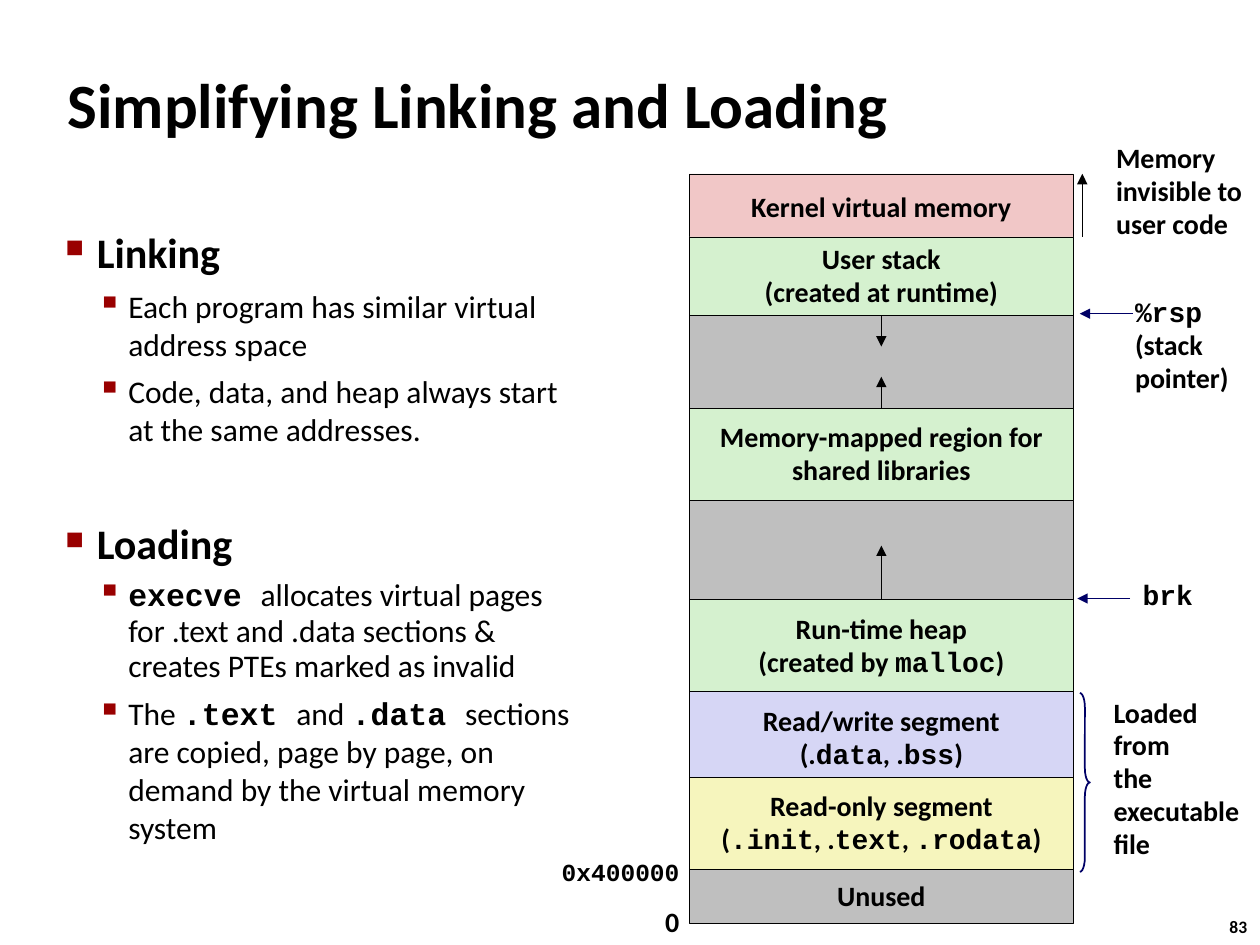
from lxml.etree import SubElement
from pptx import Presentation
from pptx.dml.color import RGBColor
from pptx.enum.shapes import MSO_CONNECTOR as Connector, MSO_SHAPE as Shape
from pptx.enum.text import MSO_ANCHOR as Anchor, PP_ALIGN as Align
from pptx.oxml.ns import qn
from pptx.util import Inches, Pt

color = RGBColor.from_string
BLACK, NAVY, RED = "000000", "000066", "990000"
GREEN, GRAY = "D5F1CF", "BFBFBF"

deck = Presentation()
deck.slide_width, deck.slide_height = Inches(10), Inches(7.5)
COL, ROW = deck.slide_width / 100, deck.slide_height / 75
slide = deck.slides.add_slide(deck.slide_layouts[6])
shapes = slide.shapes


def write(paragraph, text, size, bold=True, spacing=None):
    parts = text.split("`")
    all_code = len(parts) == 3 and not parts[0] and not parts[2]
    paragraph.line_spacing = spacing
    font = paragraph.font
    font.size, font.bold = Pt(size), bold
    font.name = "Courier New" if all_code else "Calibri"
    font.color.rgb = color(BLACK)
    for index, part in enumerate(parts):
        if part:
            run = paragraph.add_run()
            run.text = part
            if index % 2 and not all_code:
                run.font.name, run.font.bold = "Courier New", True


def arrow(x1, y1, x2, y2, stroke):
    line = shapes.add_connector(
        Connector.STRAIGHT, int(x1 * COL), int(y1 * ROW), int(x2 * COL), int(y2 * ROW))
    line.line.color.rgb = color(stroke)
    line.line.width = Pt(0.25)
    properties = line._element.spPr
    SubElement(properties.find(qn("a:ln")), qn("a:tailEnd"), type="triangle")
    SubElement(properties, qn("a:effectLst"))
    return line


title = shapes.add_textbox(int(4.4 * COL), int(3.9 * ROW), int(90.6 * COL), int(8.6 * ROW)).text_frame
title.word_wrap = True
title.vertical_anchor = Anchor.MIDDLE
write(title.paragraphs[0], "Simplifying Linking and Loading", 36)

points = [
    (0, "Linking", 0, None),
    (1, "Each program has similar virtual address space", 5.6, None),
    (1, "Code, data, and heap always start at the same addresses.", 5.6, None),
    (0, "Loading", 40, None),
    (1, "`execve `allocates virtual pages for .text and .data sections & "
        "creates PTEs marked as invalid", 5.6, 0.94),
    (1, "The `.text `and `.data `sections are copied, page by page, on demand "
        "by the virtual memory system", 5.6, None),
]
body = shapes.add_textbox(int(4.2 * COL), int(17.5 * ROW), int(43.3 * COL), int(52.3 * ROW)).text_frame
body.word_wrap = True
for index, (level, text, before, spacing) in enumerate(points):
    point = body.add_paragraph() if index else body.paragraphs[0]
    point.level = level
    point.space_before = Pt(before)
    properties = point._p.get_or_add_pPr()
    properties.set("marL", str(Inches(0.25 * (level + 1))))
    properties.set("indent", str(-Inches(0.25)))
    bullet_color = SubElement(properties, qn("a:buClr"))
    SubElement(bullet_color, qn("a:srgbClr"), val=RED)
    SubElement(properties, qn("a:buSzPct"), val=("60000", "110000")[level])
    SubElement(properties, qn("a:buChar"), char="■▪"[level])
    write(point, text, (24, 18)[level], level == 0, spacing)

segments = [
    (13.8, 5.3, "F1C7C7", ["Kernel virtual memory"]),
    (22.5, 9.9, GRAY, []),
    (18.8, 6.2, GREEN, ["User stack", "(created at runtime)"]),
    (32.4, 7.3, GREEN, ["Memory-mapped region for", "shared libraries"]),
    (39.7, 7.9, GRAY, []),
    (47.6, 7.3, GREEN, ["Run-time heap", "(created by `malloc`)"]),
    (54.9, 7.3, "D6D6F5", ["Read/write segment", "(.`data`, .`bss`)"]),
    (61.7, 7.3, "F6F5BD", ["Read-only segment", "(`.init`, .`text`, `.rodata`)"]),
    (69, 4.3, GRAY, ["Unused"]),
]
memory = []
for top, height, fill, lines in segments:
    segment = shapes.add_shape(
        Shape.RECTANGLE, int(54.7 * COL), int(top * ROW), int(30.5 * COL), int(height * ROW))
    segment.shadow.inherit = False
    segment.fill.solid()
    segment.fill.fore_color.rgb = color(fill)
    segment.line.color.rgb = color(BLACK)
    segment.line.width = Pt(0.25)
    frame = segment.text_frame
    frame.word_wrap = False
    frame.vertical_anchor = Anchor.MIDDLE
    for index, text in enumerate(lines):
        paragraph = frame.add_paragraph() if index else frame.paragraphs[0]
        paragraph.alignment = Align.CENTER
        write(paragraph, text, 16, spacing=0.98)
    memory.append(segment)

user_stack, mapped_region, heap = memory[2], memory[3], memory[5]
for region, side, start, end in [
    (user_stack, 2, 25, 27.5), (mapped_region, 0, 32.4, 29.9), (heap, 0, 47.6, 43.3),
]:
    arrow(69.95, start, 69.95, end, BLACK).begin_connect(region, side)
arrow(85.9, 18.8, 85.9, 13.8, BLACK)
arrow(89.9, 24.9, 85.7, 24.9, NAVY)
arrow(89.7, 47.5, 85.5, 47.5, NAVY)

brace = shapes.add_shape(
    Shape.RIGHT_BRACE, int(85.7 * COL), int(55 * ROW), int(0.8 * COL), int(14.2 * ROW))
brace.adjustments[0] = 1.42
brace.shadow.inherit = False
brace.fill.background()
brace.line.color.rgb = color(NAVY)
brace.line.width = Pt(1)

labels = [
    (87.6, 10.8, 12.6, 8.9, 16, ["Memory", "invisible to", "user code"]),
    (89.1, 23.1, 9.5, 8.8, 16, ["`%rsp`", "(stack", "pointer)"]),
    (89.7, 45.6, 6, 3.6, 16, ["`brk`"]),
    (87.4, 54.8, 12.6, 14.2, 16, ["Loaded", "from", "the", "executable", "file"]),
    (43.6, 67.7, 11.4, 3.3, 14, ["`0x400000`"]),
    (51.8, 71.4, 3.1, 3.7, 16, ["0"]),
    (96.6, 72.3, 3.7, 2.7, 10, ["83"]),
]
for left, top, width, height, size, lines in labels:
    frame = shapes.add_textbox(
        int(left * COL), int(top * ROW), int(width * COL), int(height * ROW)).text_frame
    frame.word_wrap = False
    for index, text in enumerate(lines):
        paragraph = frame.add_paragraph() if index else frame.paragraphs[0]
        write(paragraph, text, size, spacing=0.94 if "`" in text else 0.98)

deck.save("out.pptx")
